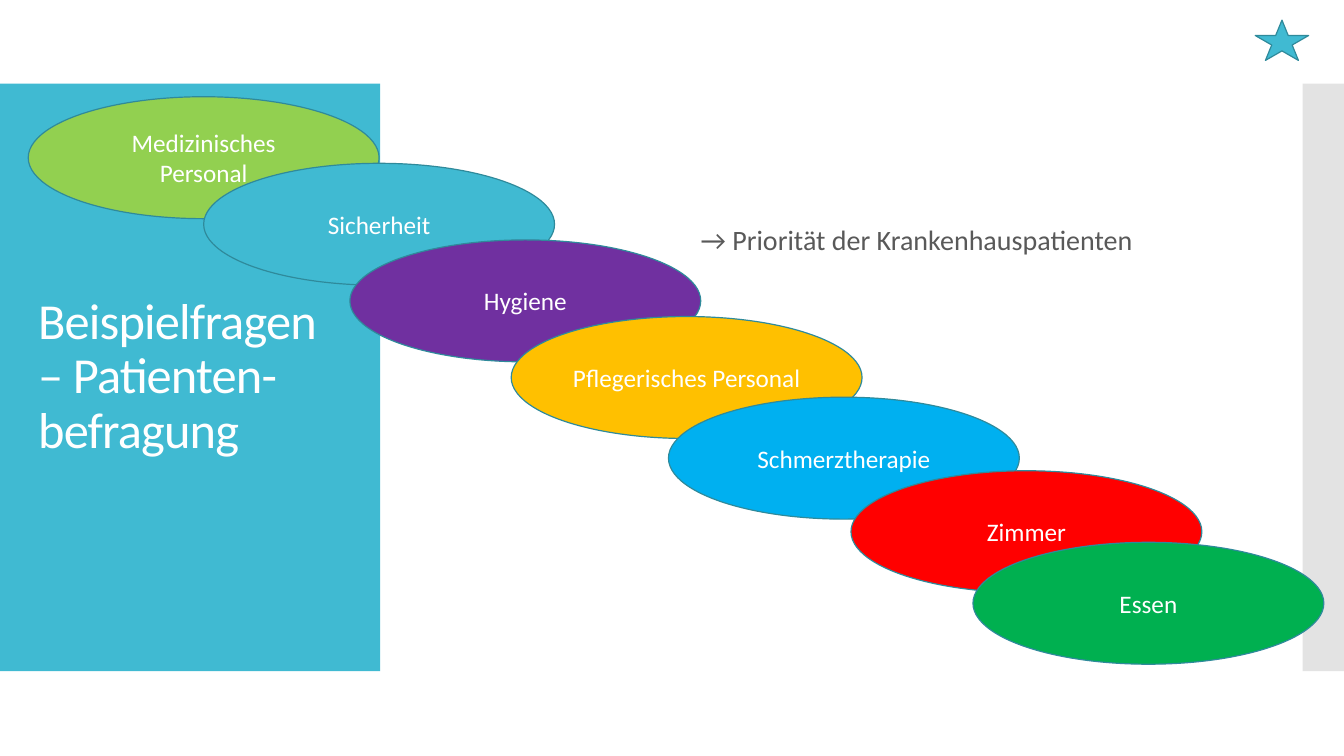
from dataclasses import dataclass

from lxml import etree
from pptx import Presentation
from pptx import util as u
from pptx.dml.color import RGBColor
from pptx.enum import shapes, text
from pptx.oxml import ns

COLORS = {
    "teal": "40BAD2", "outline": "2F8A9B", "band": "C8C8C8", "white": "FFFFFF",
    "body": "595959", "lime": "92D050", "purple": "7030A0", "amber": "FFC000",
    "sky": "00B0F0", "red": "FF0000", "green": "00B050",
}
SHAPE = shapes.MSO_SHAPE
ELLIPSE_SIZE = (3.48, 1.21)
PANEL_TOP, PANEL_HEIGHT = 0.83, 5.83


@dataclass
class Topic:
    label: str
    left: float
    top: float
    color: str


@dataclass
class Label:
    words: str
    box: tuple[float, float, float, float]
    size: int
    color: str
    letter_spacing: float = 0


TOPICS = [
    Topic("Medizinisches Personal", 0.28, 0.96, "lime"),
    Topic("Sicherheit", 2.02, 1.62, "teal"),
    Topic("Hygiene", 3.47, 2.38, "purple"),
    Topic("Pflegerisches Personal", 5.07, 3.14, "amber"),
    Topic("Schmerztherapie", 6.63, 3.94, "sky"),
    Topic("Zimmer", 8.44, 4.67, "red"),
    Topic("Essen", 9.65, 5.38, "green"),
]
LABELS = [
    Label("Beispielfragen – Patienten-befragung", (0.28, 1.23, 3.22, 5.03), 36, "white", -0.6),
    Label("→ Priorität der Krankenhauspatienten", (6.85, 1.9, 5.35, 0.98), 20, "body"),
]


def rgb(name: str) -> RGBColor:
    return RGBColor.from_string(COLORS[name])


def add_figure(s, kind, box: tuple, color: str, outlined: bool = True):
    sp = s.shapes.add_shape(kind, *map(u.Inches, box))
    sp.shadow.inherit = False
    sp.fill.solid()
    sp.fill.fore_color.rgb = rgb(color)
    if outlined:
        sp.line.color.rgb = rgb("outline")
        sp.line.width = u.Pt(0.85)
    else:
        sp.line.fill.background()
    return sp


def set_opacity(sp, percent: int) -> None:
    clr = sp.fill._xPr.find(".//" + ns.qn("a:srgbClr"))
    etree.SubElement(clr, ns.qn("a:alpha"), val=str(percent * 1000))


def write(sp, words: str, size: int, color: str, **paragraph_format):
    """Fill the shape with one vertically centred paragraph and return its run."""
    tf = sp.text_frame
    tf.word_wrap = True
    tf.vertical_anchor = text.MSO_ANCHOR.MIDDLE
    p = tf.paragraphs[0]
    for name, value in paragraph_format.items():
        setattr(p, name, value)
    r = p.add_run()
    r.text = words
    for name, value in {"name": "Calibri", "size": u.Pt(size)}.items():
        setattr(r.font, name, value)
    r.font.color.rgb = rgb(color)
    return r


def add_label(s, label: Label) -> None:
    sp = s.shapes.add_textbox(*map(u.Inches, label.box))
    r = write(sp, label.words, label.size, label.color, line_spacing=0.9)
    if label.letter_spacing:
        r.font._element.set("spc", str(round(label.letter_spacing * 100)))


def add_topic(s, topic: Topic) -> None:
    sp = add_figure(s, SHAPE.OVAL, (topic.left, topic.top, *ELLIPSE_SIZE), topic.color)
    write(sp, topic.label, 18, "white", alignment=text.PP_ALIGN.CENTER)


def main() -> None:
    prs = Presentation()
    prs.slide_width, prs.slide_height = u.Inches(13.33), u.Inches(7.5)
    s = prs.slides.add_slide(prs.slide_layouts[6])

    add_figure(s, SHAPE.RECTANGLE, (0, PANEL_TOP, 3.77, PANEL_HEIGHT), "teal", outlined=False)
    band = add_figure(s, SHAPE.RECTANGLE, (12.92, PANEL_TOP, 0.41, PANEL_HEIGHT), "band", outlined=False)
    set_opacity(band, 50)
    for label in LABELS:
        add_label(s, label)
    for topic in TOPICS:
        add_topic(s, topic)
    add_figure(s, SHAPE.STAR_5_POINT, (12.45, 0.2, 0.53, 0.4), "teal")

    prs.save("out.pptx")


if __name__ == "__main__":
    main()
